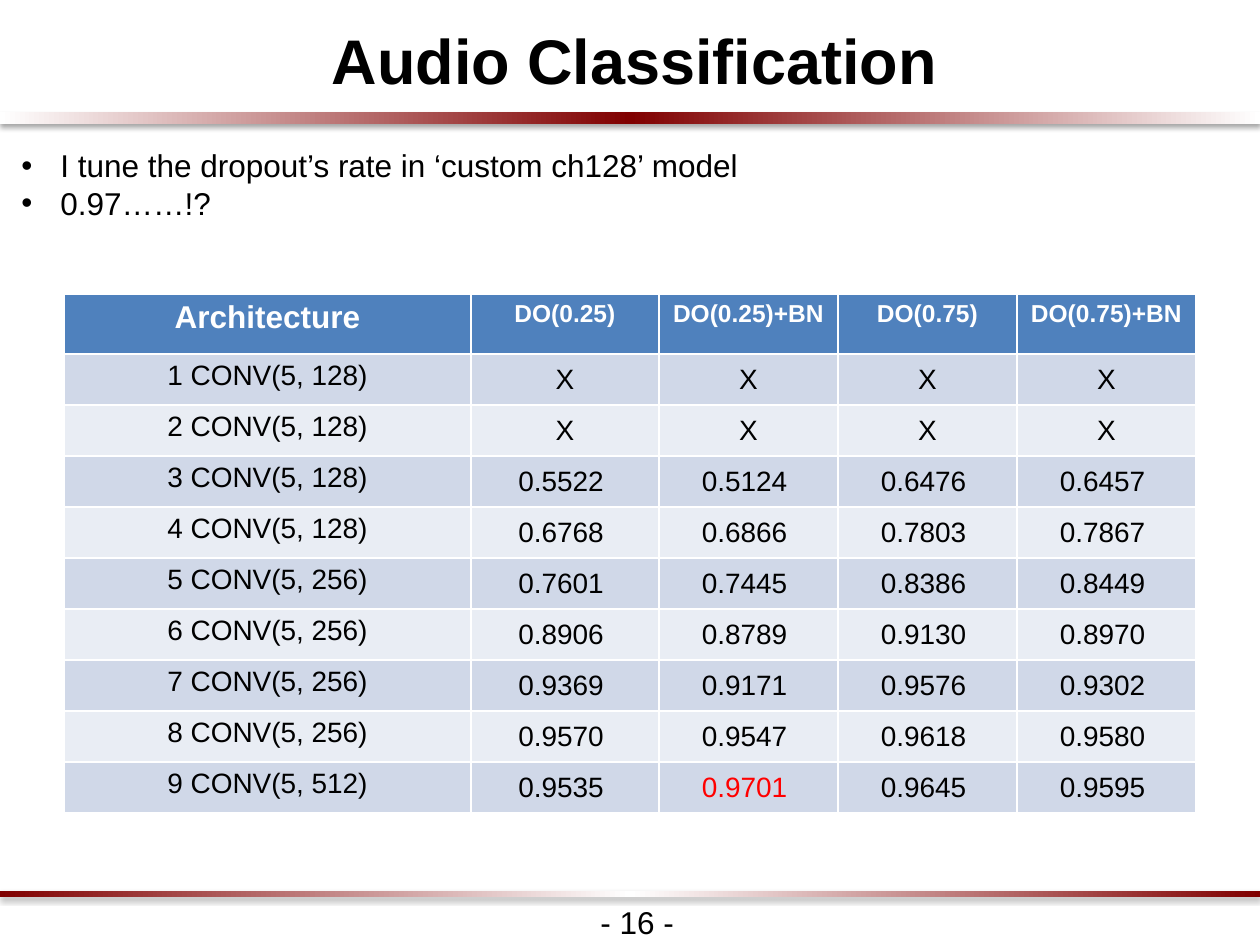
from lxml import etree
from pptx import Presentation
from pptx.dml.color import RGBColor
from pptx.enum.shapes import MSO_SHAPE as Shape
from pptx.enum.text import MSO_ANCHOR as Anchor, PP_ALIGN as Align
from pptx.oxml import parse_xml
from pptx.oxml.ns import nsdecls, qn
from pptx.util import Pt

PX = 9144000 / 1260


def px(*lengths):
    return [round(length * PX) for length in lengths]


def style(paragraph, size, color, bold=False):
    for run in paragraph.runs:
        run.font.name = "Arial"
        run.font.size = Pt(size)
        run.font.bold = bold
        run.font.color.rgb = RGBColor.from_string(color)


deck = Presentation()
deck.slide_width, deck.slide_height = px(1260, 945)
slide = deck.slides.add_slide(deck.slide_layouts[5])

for top, height, edge, middle in [(112, 12, "FFFFFF", "800000"), (891, 6, "800000", "FFFFFF")]:
    rule = slide.shapes.add_shape(Shape.RECTANGLE, *px(0, top, 1260, height))
    rule.line.fill.background()
    rule.fill.gradient()
    rule.fill.gradient_angle = 0
    stops = rule.fill._fill._gradFill.find(qn("a:gsLst"))
    stops.clear()
    for position, color in [(0, edge), (50000, middle), (100000, edge)]:
        stop = etree.SubElement(stops, qn("a:gs"), pos=str(position))
        etree.SubElement(stop, qn("a:srgbClr"), val=color)
    rule.shadow.inherit = False
    rule._element.spPr.find(qn("a:effectLst")).append(parse_xml(
        f'<a:outerShdw {nsdecls("a")} blurRad="39400" dist="22900" dir="5400000" rotWithShape="0">'
        '<a:srgbClr val="000000"><a:alpha val="35000"/></a:srgbClr></a:outerShdw>'))

title = slide.shapes.title
title.left, title.top, title.width, title.height = px(-29, 4, 1317, 100)
heading = title.text_frame
heading.text = "Audio Classification"
heading.vertical_anchor = Anchor.MIDDLE
heading.margin_left, heading.margin_right, heading.margin_top, heading.margin_bottom = px(13, 13, 13, 13)
heading_line = heading.paragraphs[0]
heading_line.alignment = Align.CENTER
heading_line.line_spacing = 1.15
heading_line._p.get_or_add_pPr().set("marL", str(px(10)[0]))
style(heading_line, 36, "000000", True)

remarks = slide.shapes.add_textbox(*px(9, 140, 1187, 134)).text_frame
remarks.word_wrap = True
remarks.text = "I tune the dropout’s rate in ‘custom ch128’ model\n0.97……!?"
indent = px(39)[0]
for remark in remarks.paragraphs:
    style(remark, 18, "000000")
    properties = remark._p.get_or_add_pPr()
    properties.set("marL", str(indent))
    properties.set("indent", str(-indent))
    etree.SubElement(properties, qn("a:buFont"), typeface="Arial")
    etree.SubElement(properties, qn("a:buChar"), char="•")

page_number = slide.shapes.add_textbox(*px(588, 897, 100, 50)).text_frame
page_number.text = "- 16 -"
style(page_number.paragraphs[0], 18, "000000")

header = ["Architecture", "DO(0.25)", "DO(0.25)+BN", "DO(0.75)", "DO(0.75)+BN"]
scores = [
    ("1 CONV(5, 128)", "X", "X", "X", "X"),
    ("2 CONV(5, 128)", "X", "X", "X", "X"),
    ("3 CONV(5, 128)", "0.5522 ", "0.5124 ", "0.6476 ", "0.6457 "),
    ("4 CONV(5, 128)", "0.6768 ", "0.6866 ", "0.7803 ", "0.7867 "),
    ("5 CONV(5, 256)", "0.7601 ", "0.7445 ", "0.8386 ", "0.8449 "),
    ("6 CONV(5, 256)", "0.8906 ", "0.8789 ", "0.9130 ", "0.8970 "),
    ("7 CONV(5, 256)", "0.9369 ", "0.9171 ", "0.9576 ", "0.9302 "),
    ("8 CONV(5, 256)", "0.9570 ", "0.9547 ", "0.9618 ", "0.9580 "),
    ("9 CONV(5, 512)", "0.9535 ", "0.9701 ", "0.9645 ", "0.9595 "),
]
best = "0.9701 "
results = slide.shapes.add_table(10, 5, *px(64, 294, 1132, 519)).table
for column, width in zip(results.columns, px(407, 188, 179, 179, 179)):
    column.width = width
for row, height in zip(results.rows, px(60, *[51] * 9)):
    row.height = height

for r, entries in enumerate([header, *scores]):
    for c, entry in enumerate(entries):
        cell = results.cell(r, c)
        cell.text = entry
        cell.fill.solid()
        line = cell.text_frame.paragraphs[0]
        line.alignment = Align.CENTER
        if r == 0:
            fill = "4F81BD"
            style(line, 14 if c else 18, "FFFFFF", True)
        else:
            fill = "D0D8E8" if r % 2 else "E9EDF4"
            style(line, 16, "FF0000" if entry == best else "000000")
            if c:
                cell.vertical_anchor = Anchor.MIDDLE
                cell.margin_left, cell.margin_right, cell.margin_top, cell.margin_bottom = px(1, 1, 1, 0)
        cell.fill.fore_color.rgb = RGBColor.from_string(fill)

deck.save("out.pptx")
